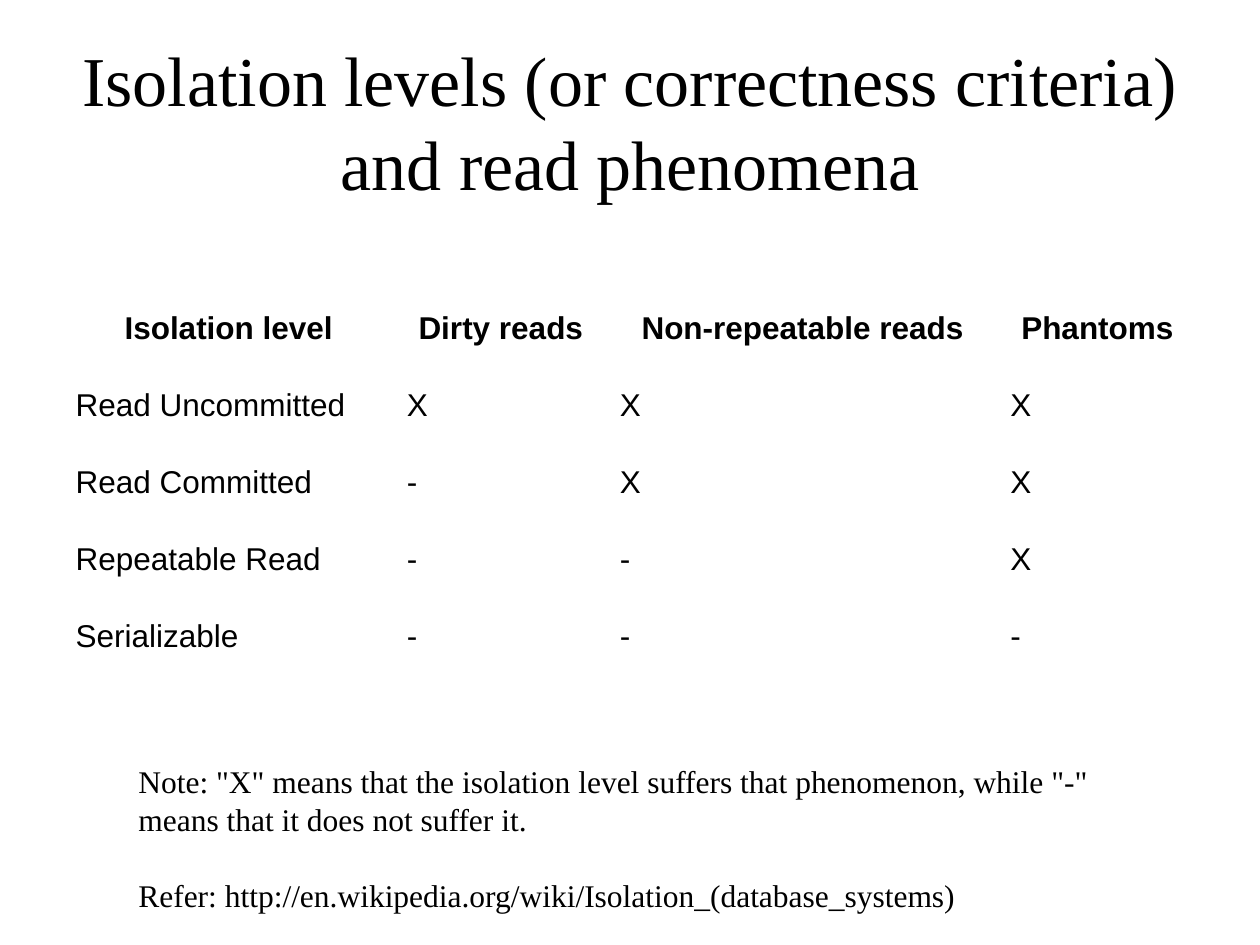
from pptx import Presentation
from pptx.dml.color import RGBColor
from pptx.enum.text import MSO_ANCHOR, PP_ALIGN
from pptx.util import Inches, Pt

BLACK = RGBColor(0, 0, 0)
SERIF = "Times New Roman"
SANS = "Arial"

TITLE = "Isolation levels (or correctness criteria) and read phenomena"
COLUMN_WIDTHS = [2.63, 1.69, 3.1, 1.58]
ROW_HEIGHT = 0.61
ROWS = [
    ["Isolation level", "Dirty reads", "Non-repeatable reads", "Phantoms"],
    ["Read Uncommitted", "X", "X", "X"],
    ["Read Committed", "-", "X", "X"],
    ["Repeatable Read", "-", "-", "X"],
    ["Serializable", "-", "-", "-"],
]
# Each note line with the space before it, in points
NOTES = [
    ('Note: "X" means that the isolation level suffers that phenomenon, while "-"', 0),
    ("means that it does not suffer it.", 0),
    ("Refer: http://en.wikipedia.org/wiki/Isolation_(database_systems)", 21.6),
]


def add_run(paragraph, text, font_name, size, bold=False):
    run = paragraph.add_run()
    run.text = text
    run.font.name = font_name
    run.font.size = Pt(size)
    run.font.bold = bold
    run.font.color.rgb = BLACK


def place_title(slide, left, top, width, height):
    title = slide.shapes.title
    title.left, title.top = Inches(left), Inches(top)
    title.width, title.height = Inches(width), Inches(height)
    frame = title.text_frame
    frame.word_wrap = True
    frame.vertical_anchor = MSO_ANCHOR.MIDDLE
    paragraph = frame.paragraphs[0]
    paragraph.alignment = PP_ALIGN.CENTER
    add_run(paragraph, TITLE, SERIF, 40)


def place_table(slide, left, top, width, height):
    table = slide.shapes.add_table(
        len(ROWS), len(COLUMN_WIDTHS),
        Inches(left), Inches(top), Inches(width), Inches(height)).table
    table.first_row = False
    table.horz_banding = False
    for column, column_width in zip(table.columns, COLUMN_WIDTHS):
        column.width = Inches(column_width)
    for row_index, texts in enumerate(ROWS):
        is_header = row_index == 0
        table.rows[row_index].height = Inches(ROW_HEIGHT)
        for column_index, text in enumerate(texts):
            cell = table.cell(row_index, column_index)
            cell.fill.background()
            paragraph = cell.text_frame.paragraphs[0]
            paragraph.alignment = PP_ALIGN.CENTER if is_header else PP_ALIGN.LEFT
            add_run(paragraph, text, SANS, 18, bold=is_header)


def place_notes(slide, left, top, width, height):
    frame = slide.shapes.add_textbox(
        Inches(left), Inches(top), Inches(width), Inches(height)).text_frame
    frame.word_wrap = False
    for index, (text, space_before) in enumerate(NOTES):
        paragraph = frame.paragraphs[0] if index == 0 else frame.add_paragraph()
        paragraph.space_before = Pt(space_before)
        add_run(paragraph, text, SERIF, 18)


def main():
    presentation = Presentation()
    presentation.slide_width = Inches(10)
    presentation.slide_height = Inches(7.5)
    slide = presentation.slides.add_slide(presentation.slide_layouts[5])

    place_title(slide, 0.5, 0.33, 9, 1.25)
    place_table(slide, 0.5, 2.42, sum(COLUMN_WIDTHS), ROW_HEIGHT * len(ROWS))
    place_notes(slide, 1, 6, 7.81, 1.3)

    presentation.save("out.pptx")


if __name__ == "__main__":
    main()
